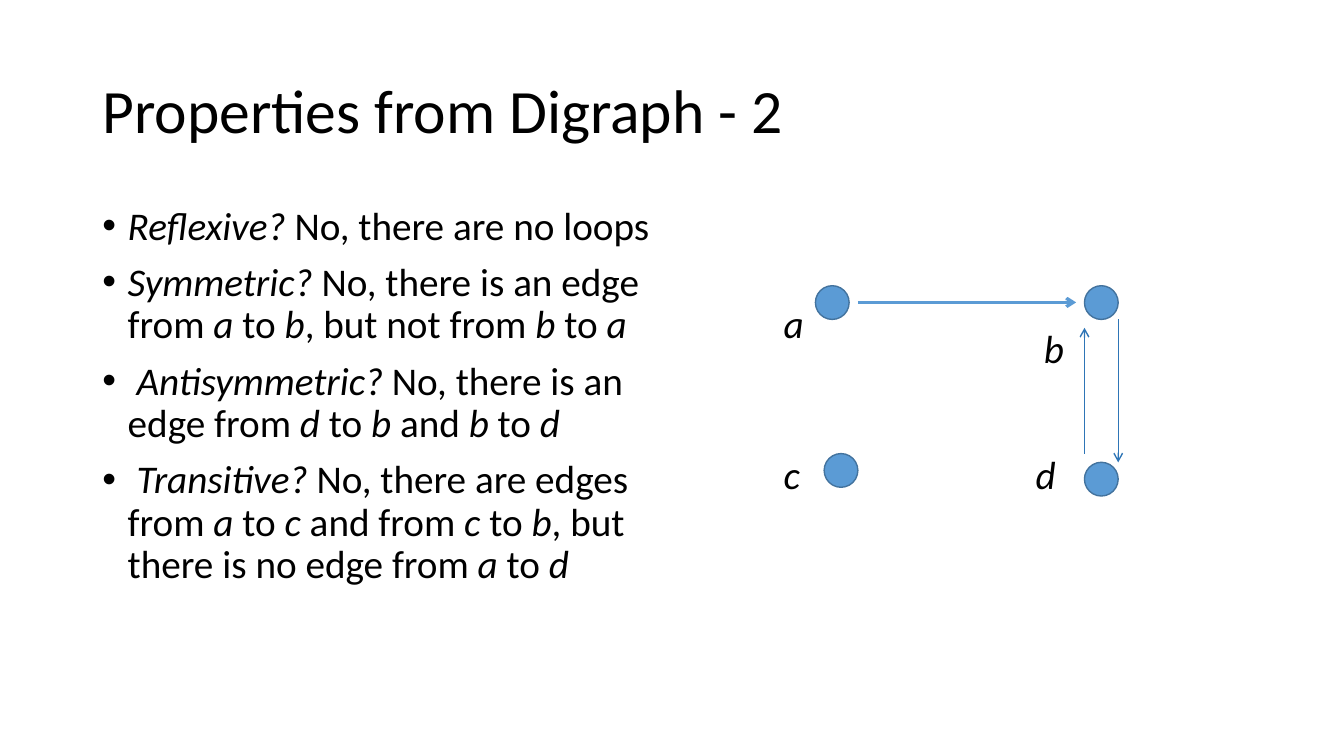
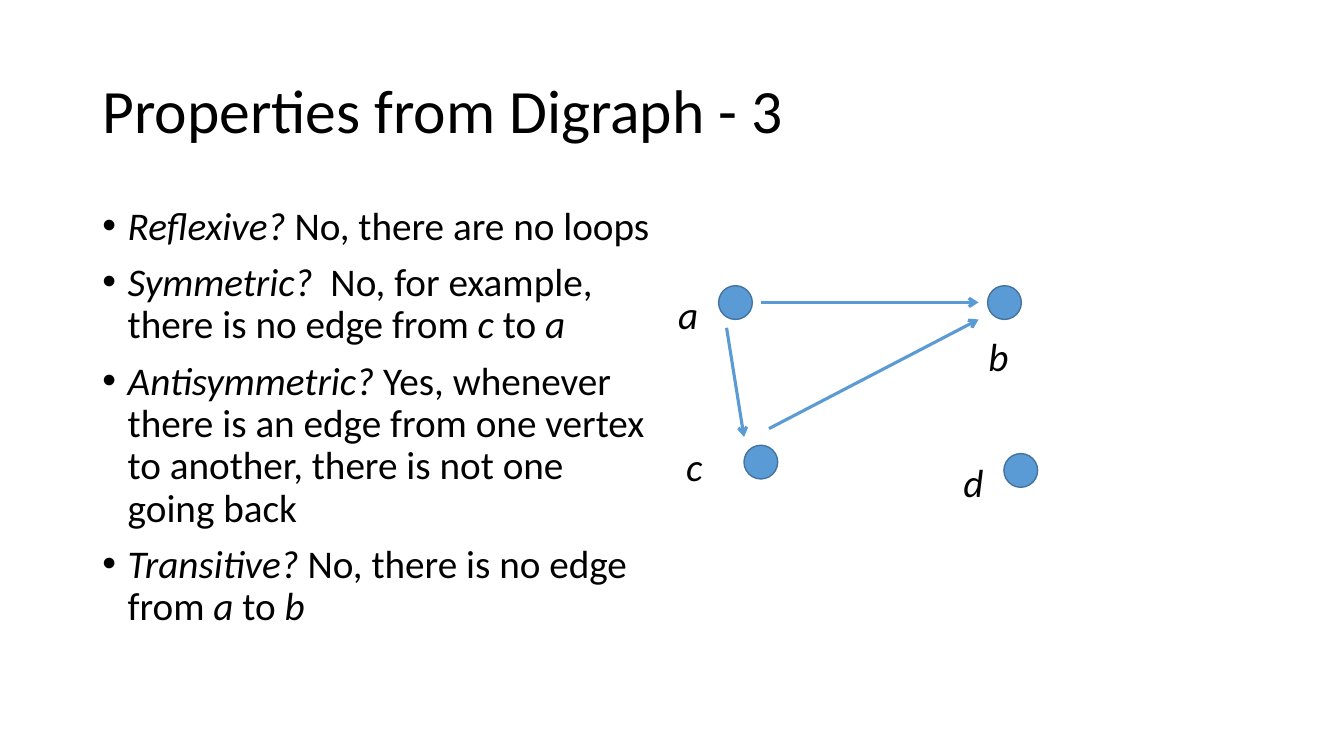
from dataclasses import dataclass

from lxml import etree
from pptx import Presentation
from pptx.dml.color import RGBColor
from pptx.enum.shapes import MSO_CONNECTOR, MSO_SHAPE
from pptx.enum.text import MSO_ANCHOR
from pptx.oxml.ns import qn
from pptx.util import Cm, Pt

STRAIGHT = MSO_CONNECTOR.STRAIGHT
OVAL = MSO_SHAPE.OVAL
TOP = MSO_ANCHOR.TOP
MIDDLE = MSO_ANCHOR.MIDDLE
BLANK_LAYOUT = 6


@dataclass(frozen=True)
class Theme:
    """Colours, font, type sizes and line widths of the deck."""
    text: RGBColor = RGBColor(0x00, 0x00, 0x00)
    background: RGBColor = RGBColor(0xFF, 0xFF, 0xFF)
    accent: RGBColor = RGBColor(0x5B, 0x9B, 0xD5)
    outline: RGBColor = RGBColor(0x43, 0x73, 0x9E)
    thin_edge: RGBColor = RGBColor(0x2E, 0x75, 0xB6)
    font: str = "Calibri"
    title_size: float = 44
    body_size: float = 28
    thin: float = 1
    thick: float = 2.25


@dataclass(frozen=True)
class Box:
    """A region of a slide, in centimetres."""
    left: float
    top: float
    width: float
    height: float

    def inner(self, x, y, width, height):
        """Return a box placed relative to this one."""
        return Box(self.left + x, self.top + y, width, height)

    def lengths(self):
        """Return left, top, width and height as lengths."""
        return [Cm(value) for value in (self.left, self.top, self.width, self.height)]


THEME = Theme()
TITLE_BOX = Box(2.33, 1.01, 29.21, 3.68)
BODY_BOX = Box(2.33, 5.07, 14.4, 12.09)
NODE_SIZE = 0.85
LABEL_SIZE = (1.06, 1.45)
BULLET_INDENT = Cm(0.64)


def add_bullet(paragraph):
    """Give a paragraph a round bullet and a hanging indent."""
    properties = paragraph._p.get_or_add_pPr()
    properties.set("marL", str(BULLET_INDENT))
    properties.set("indent", str(-BULLET_INDENT))
    etree.SubElement(properties, qn("a:buFont")).set("typeface", "Arial")
    etree.SubElement(properties, qn("a:buChar")).set("char", "•")


def add_text(slide, box, lines, *, size=THEME.body_size, anchor=TOP,
             line_spacing=1.0, space_before=0, bullets=False):
    """Add a text box with one paragraph a line; *asterisks* mark italics."""
    frame = slide.shapes.add_textbox(*box.lengths()).text_frame
    frame.word_wrap = True
    frame.vertical_anchor = anchor
    for index, line in enumerate(lines):
        paragraph = frame.add_paragraph() if index else frame.paragraphs[0]
        paragraph.line_spacing = line_spacing
        paragraph.space_before = Pt(space_before)
        if bullets:
            add_bullet(paragraph)
        for position, part in enumerate(line.split("*")):
            if part:
                run = paragraph.add_run()
                run.text = part
                run.font.name = THEME.font
                run.font.size = Pt(size)
                run.font.italic = position % 2 == 1
                run.font.color.rgb = THEME.text


def add_node(slide, box):
    """Add the dot of a vertex."""
    shape = slide.shapes.add_shape(OVAL, *box.lengths())
    shape.shadow.inherit = False
    shape.fill.solid()
    shape.fill.fore_color.rgb = THEME.accent
    shape.line.color.rgb = THEME.outline
    shape.line.width = Pt(THEME.thin)


def add_edge(slide, box, start, end, *, thin=False):
    """Add an arrow between two points given relative to the box."""
    points = [Cm(value) for x, y in (start, end)
              for value in (box.left + x, box.top + y)]
    edge = slide.shapes.add_connector(STRAIGHT, *points)
    edge.line.color.rgb = THEME.thin_edge if thin else THEME.accent
    edge.line.width = Pt(THEME.thin if thin else THEME.thick)
    etree.SubElement(edge.line._get_or_add_ln(), qn("a:tailEnd")).set("type", "arrow")
    etree.SubElement(edge._element.spPr, qn("a:effectLst"))


def add_digraph(slide, box, vertices, edges, thin_edges=()):
    """Draw vertices, their labels and the edges inside the box."""
    for name, (node, label) in vertices.items():
        add_node(slide, box.inner(*node, NODE_SIZE, NODE_SIZE))
        add_text(slide, box.inner(*label, *LABEL_SIZE), [f"*{name}*"])
    for start, end in edges:
        add_edge(slide, box, start, end)
    for start, end in thin_edges:
        add_edge(slide, box, start, end, thin=True)


def add_properties_slide(presentation, number, properties, digraph_box, **digraph):
    """Add a slide with a title, bulleted properties and a digraph."""
    slide = presentation.slides.add_slide(presentation.slide_layouts[BLANK_LAYOUT])
    slide.background.fill.solid()
    slide.background.fill.fore_color.rgb = THEME.background
    add_text(slide, TITLE_BOX, [f"Properties from Digraph - {number}"],
             size=THEME.title_size, anchor=MIDDLE, line_spacing=0.9)
    add_text(slide, BODY_BOX, properties, line_spacing=0.9, space_before=10,
             bullets=True)
    add_digraph(slide, digraph_box, **digraph)


def main():
    """Build and save the deck."""
    presentation = Presentation()
    presentation.slide_width = Cm(33.87)
    presentation.slide_height = Cm(19.05)

    add_properties_slide(
        presentation, 2,
        ["*Reflexive?* No, there are no loops",
         "*Symmetric?* No, there is an edge from *a* to *b*, but not from *b* to *a*",
         " *Antisymmetric?* No, there is an edge from *d* to *b* and *b* to *d*",
         " *Transitive?* No, there are edges from *a* to *c* and from *c* to *b*, "
         "but there is no edge from *a* to *d*"],
        Box(19.5, 7.2, 8.68, 5.5),
        vertices={"a": ((1.05, 0), (0, 0.22)),
                  "b": ((7.83, 0), (6.56, 0.85)),
                  "c": ((1.27, 4.23), (0, 4.02)),
                  "d": ((7.83, 4.45), (6.35, 4.02))},
        edges=[((2.12, 0.42), (7.62, 0.42))],
        thin_edges=[((7.83, 4.23), (7.83, 1.06)),
                    ((8.68, 0.85), (8.68, 4.45))])

    add_properties_slide(
        presentation, 3,
        ["*Reflexive?* No, there are no loops",
         "*Symmetric?*  No, for example, there is no edge from *c* to *a*",
         "*Antisymmetric?* Yes, whenever there is an edge from one vertex "
         "to another, there is not one going back",
         "*Transitive?* No, there is no edge from *a* to *b*"],
        Box(16.84, 7.2, 9.31, 5.68),
        vertices={"a": ((1.27, 0), (0, 0)),
                  "b": ((8.05, 0), (7.82, 1.06)),
                  "c": ((1.91, 4.02), (0.2, 3.81)),
                  "d": ((8.46, 4.23), (7.19, 4.23))},
        edges=[((2.34, 0.42), (7.82, 0.42)),
               ((1.47, 1.06), (1.91, 3.81)),
               ((2.54, 3.6), (7.82, 0.85))])

    presentation.save("out.pptx")


main()
